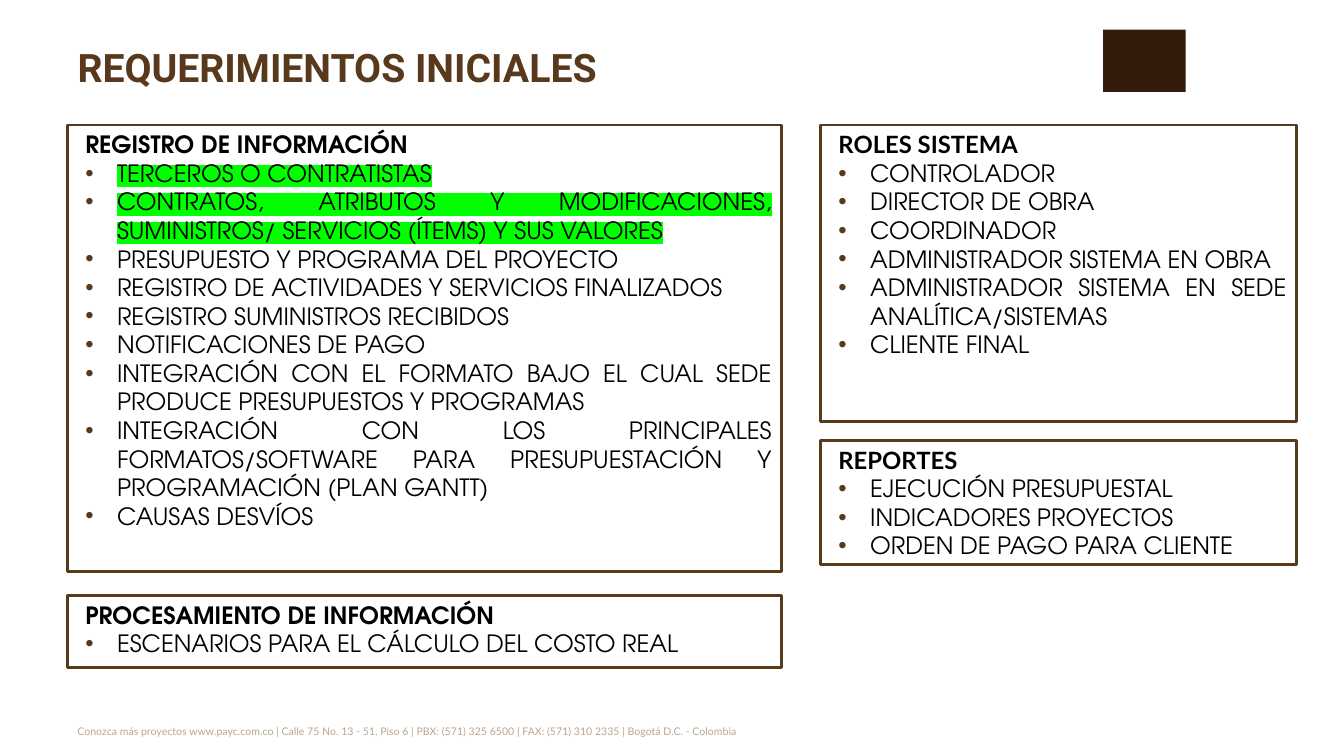
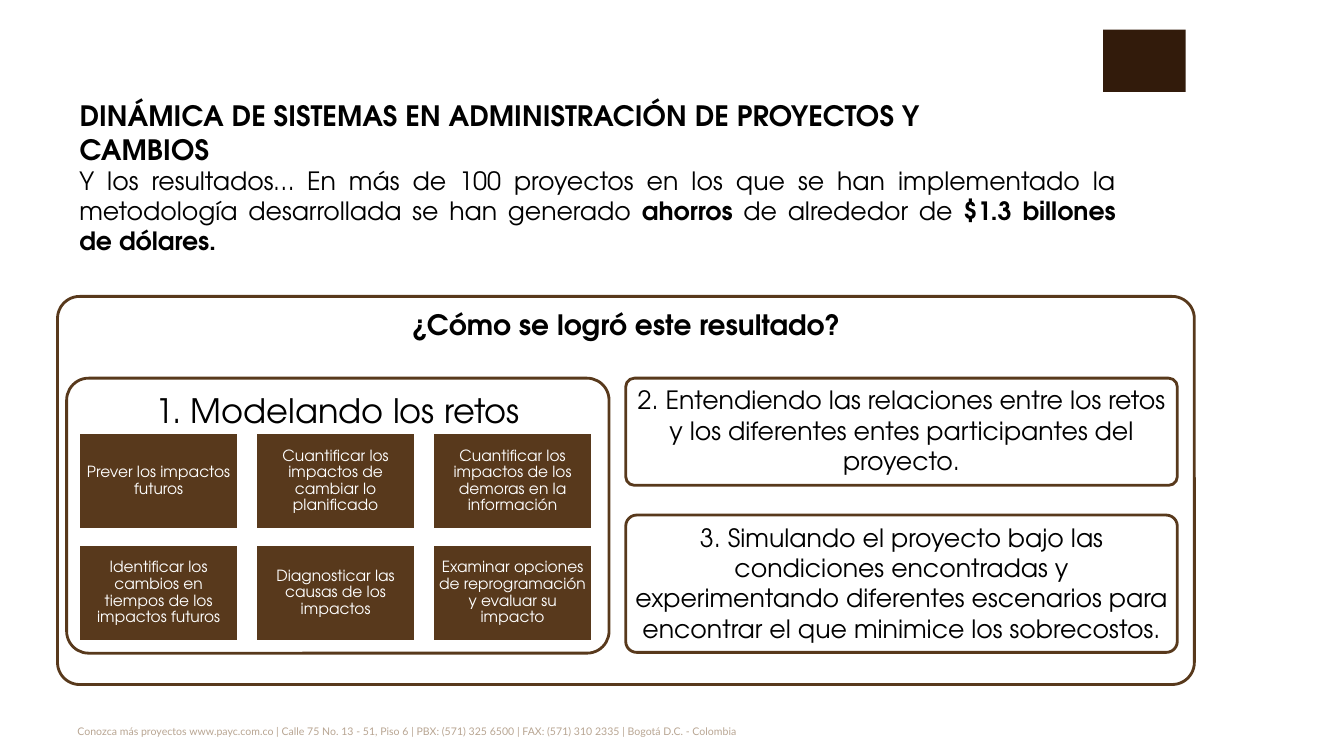
"""Build two slides on initial requirements and system dynamics in project management."""
from dataclasses import dataclass
from typing import Any

import pptx
import pptx.dml.color
import pptx.enum.shapes
import pptx.enum.text
import pptx.oxml.ns
import pptx.util
from lxml import etree

Cm = pptx.util.Cm
Align = pptx.enum.text.PP_ALIGN
Anchor = pptx.enum.text.MSO_ANCHOR
Outline = pptx.enum.shapes.MSO_SHAPE
qn = pptx.oxml.ns.qn

BROWN, DARK_BROWN, TAN = "58391C", "321B0B", "B8A592"
BLACK, WHITE, GREEN = "000000", "FFFFFF", "00FF00"
BODY_FONT, FOOTER_FONT, TITLE_FONT = "TeX Gyre Adventor", "Lato", "Roboto"
FOOTER = (
    "Conozca más proyectos www.payc.com.co | Calle 75 No. 13 - 51, Piso 6 | "
    "PBX: (571) 325 6500 | FAX: (571) 310 2335 | Bogotá D.C. - Colombia"
)


@dataclass(frozen=True)
class Area:
    """Position and size in centimetres."""

    left: float
    top: float
    width: float
    height: float

    def lengths(self) -> tuple[Any, ...]:
        """Return the four values as lengths."""
        return Cm(self.left), Cm(self.top), Cm(self.width), Cm(self.height)


@dataclass(frozen=True)
class Requirements:
    """A bordered list with a heading; the first items may be highlighted."""

    area: Area
    heading: str
    items: tuple[str, ...]
    heading_font: str = BODY_FONT
    highlighted: int = 0


@dataclass(frozen=True)
class Panel:
    """A rounded panel with centred text."""

    area: Area
    text: str
    size: float
    bold: bool = False
    inset: float | None = None
    corner: float = 0.08


REQUIREMENTS = (
    Requirements(
        Area(1.7, 3.15, 18, 11.25),
        "REGISTRO DE INFORMACIÓN",
        (
            "TERCEROS O CONTRATISTAS",
            "CONTRATOS, ATRIBUTOS Y MODIFICACIONES, SUMINISTROS/ SERVICIOS (ÍTEMS) Y SUS VALORES",
            "PRESUPUESTO Y PROGRAMA DEL PROYECTO",
            "REGISTRO DE ACTIVIDADES Y SERVICIOS FINALIZADOS",
            "REGISTRO SUMINISTROS RECIBIDOS",
            "NOTIFICACIONES DE PAGO",
            "INTEGRACIÓN CON EL FORMATO BAJO EL CUAL SEDE PRODUCE PRESUPUESTOS Y PROGRAMAS",
            "INTEGRACIÓN CON LOS PRINCIPALES FORMATOS/SOFTWARE PARA PRESUPUESTACIÓN Y "
            "PROGRAMACIÓN (PLAN GANTT)",
            "CAUSAS DESVÍOS",
        ),
        highlighted=2,
    ),
    Requirements(
        Area(1.7, 15, 18, 1.83),
        "PROCESAMIENTO DE INFORMACIÓN",
        ("ESCENARIOS PARA EL CÁLCULO DEL COSTO REAL",),
    ),
    Requirements(
        Area(20.68, 11.1, 12, 3.12),
        "REPORTES",
        ("EJECUCIÓN PRESUPUESTAL", "INDICADORES PROYECTOS", "ORDEN DE PAGO PARA CLIENTE"),
        heading_font=FOOTER_FONT,
    ),
    Requirements(
        Area(20.68, 3.15, 12, 7.47),
        "ROLES SISTEMA",
        (
            "CONTROLADOR",
            "DIRECTOR DE OBRA",
            "COORDINADOR",
            "ADMINISTRADOR SISTEMA EN OBRA",
            "ADMINISTRADOR SISTEMA EN SEDE ANALÍTICA/SISTEMAS",
            "CLIENTE FINAL",
        ),
        heading_font=FOOTER_FONT,
    ),
)

PANELS = (
    Panel(Area(1.45, 7.47, 28.65, 9.78), "¿Cómo se logró este resultado?", 20,
          bold=True, corner=0.057),
    Panel(Area(1.68, 9.53, 13.67, 6.93), "1. Modelando los retos", 24),
    Panel(
        Area(15.77, 9.53, 13.9, 2.7),
        "2. Entendiendo las relaciones entre los retos y los diferentes entes "
        "participantes del proyecto.",
        18,
        inset=0.1,
    ),
    Panel(
        Area(15.77, 12.98, 13.9, 3.46),
        "3. Simulando el proyecto bajo las condiciones encontradas y experimentando "
        "diferentes escenarios para encontrar el que minimice los sobrecostos.",
        18,
        inset=0.1,
    ),
)

CHALLENGES = (
    "Prever los impactos futuros",
    "Cuantificar los impactos de cambiar lo planificado",
    "Cuantificar los impactos de los demoras en la información",
    "Identificar los cambios en tiempos de los impactos futuros",
    "Diagnosticar las causas de los impactos",
    "Examinar opciones de reprogramación y evaluar su impacto",
)

RESULTS = (
    ("Y los resultados… En más de 100 proyectos en los que se han implementado la "
     "metodología desarrollada se han generado ", False),
    ("ahorros", True),
    (" de alrededor de ", False),
    ("$1.3 billones de dólares.", True),
)


def rgb(value: str) -> Any:
    """Turn a hex string into a colour."""
    return pptx.dml.color.RGBColor.from_string(value)


def write(paragraph: Any, text: str, *, size: float, font: str = BODY_FONT,
          color: str = BLACK, bold: bool = False, highlight: str | None = None,
          baseline: int = 0) -> None:
    """Add a formatted run to a paragraph."""
    run = paragraph.add_run()
    run.text = text
    run.font.size = pptx.util.Pt(size)
    run.font.name = font
    run.font.bold = bold
    run.font.color.rgb = rgb(color)
    properties = run._r.get_or_add_rPr()
    if baseline:
        properties.set("baseline", str(baseline * 1000))
    if highlight:
        marker = etree.Element(qn("a:highlight"))
        etree.SubElement(marker, qn("a:srgbClr"), val=highlight)
        properties.find(qn("a:solidFill")).addnext(marker)


def indent(paragraph: Any, left: float, first: float = 0, bullet: str = "") -> None:
    """Set the indents in centimetres and an optional brown bullet."""
    properties = paragraph._p.get_or_add_pPr()
    properties.set("marL", str(Cm(left)))
    properties.set("indent", str(Cm(first)))
    if bullet:
        bullet_color = etree.SubElement(properties, qn("a:buClr"))
        etree.SubElement(bullet_color, qn("a:srgbClr"), val=BROWN)
        etree.SubElement(properties, qn("a:buFont"), typeface="Arial")
        etree.SubElement(properties, qn("a:buChar"), char=bullet)


def prepare(frame: Any, *, anchor: Any = Anchor.TOP, align: Any = Align.LEFT,
            inset: float | None = None) -> Any:
    """Set up a text frame and return its first paragraph."""
    frame.word_wrap = True
    frame.auto_size = pptx.enum.text.MSO_AUTO_SIZE.NONE
    frame.vertical_anchor = anchor
    if inset is not None:
        frame.margin_left = frame.margin_right = Cm(inset)
        frame.margin_top = frame.margin_bottom = Cm(inset)
    frame.paragraphs[0].alignment = align
    return frame.paragraphs[0]


def draw_shape(slide: Any, area: Area, *, fill: str = WHITE, line: str | None = BROWN,
               outline: Any = Outline.RECTANGLE) -> Any:
    """Draw a filled shape without a shadow."""
    shape = slide.shapes.add_shape(outline, *area.lengths())
    shape.shadow.inherit = False
    shape.fill.solid()
    shape.fill.fore_color.rgb = rgb(fill)
    if line:
        shape.line.color.rgb = rgb(line)
        shape.line.width = pptx.util.Pt(2)
    else:
        shape.line.fill.background()
    return shape


def draw_title(slide: Any, text: str, area: Area, *, anchor: Any, **style: Any) -> None:
    """Place and format the title placeholder."""
    title = slide.shapes.title
    title.left, title.top, title.width, title.height = area.lengths()
    write(prepare(title.text_frame, anchor=anchor), text, bold=True, **style)


def draw_requirements(slide: Any, block: Requirements) -> None:
    """Draw a bordered list of requirements."""
    frame = draw_shape(slide, block.area).text_frame
    heading = prepare(frame, align=Align.JUSTIFY)
    indent(heading, 0.2)
    write(heading, block.heading, size=17, font=block.heading_font, bold=True)
    for position, item in enumerate(block.items):
        entry = frame.add_paragraph()
        entry.alignment = Align.JUSTIFY
        indent(entry, 1, -0.8, "•")
        write(entry, item, size=17, highlight=GREEN if position < block.highlighted else None)


def draw_panel(slide: Any, panel: Panel) -> None:
    """Draw a rounded panel."""
    shape = draw_shape(slide, panel.area, outline=Outline.ROUNDED_RECTANGLE)
    shape.adjustments[0] = panel.corner
    paragraph = prepare(shape.text_frame, align=Align.CENTER, inset=panel.inset)
    write(paragraph, panel.text, size=panel.size, bold=panel.bold)


def draw_challenges(slide: Any) -> None:
    """Draw the challenges as a grid of three columns."""
    for position, challenge in enumerate(CHALLENGES):
        row, column = divmod(position, 3)
        area = Area(1.98 + column * 4.46, 10.9 + row * 2.82, 4.04, 2.44)
        frame = draw_shape(slide, area, fill=BROWN, line=WHITE).text_frame
        paragraph = prepare(frame, anchor=Anchor.MIDDLE, align=Align.CENTER, inset=0.13)
        paragraph.line_spacing = 0.9
        write(paragraph, challenge, size=11, color=WHITE)


def share_branding(slide: Any) -> None:
    """Draw the footer and the corner block, and hand them to the slide layout."""
    footer = slide.shapes.add_textbox(*Area(1.7, 18.1, 26.1, 1).lengths())
    write(prepare(footer.text_frame), FOOTER, size=13, font=FOOTER_FONT, color=TAN, baseline=30)
    corner = draw_shape(slide, Area(27.8, 0.75, 2.08, 1.57), fill=DARK_BROWN, line=None)
    for part in (footer, corner):
        slide.slide_layout.shapes.element.append(part.element)


def build_requirements(slide: Any) -> None:
    """Build the slide on initial requirements."""
    draw_title(slide, "REQUERIMIENTOS INICIALES", Area(1.7, 0.61, 25.65, 1.8),
               anchor=Anchor.BOTTOM, size=28, font=TITLE_FONT, color=BROWN)
    for block in REQUIREMENTS:
        draw_requirements(slide, block)


def build_dynamics(slide: Any) -> None:
    """Build the slide on system dynamics."""
    draw_title(slide, "DINÁMICA DE SISTEMAS EN ADMINISTRACIÓN DE PROYECTOS Y CAMBIOS",
               Area(1.75, 2.36, 24.1, 1.96), anchor=Anchor.TOP, size=20)
    results = slide.shapes.add_textbox(*Area(1.75, 4.04, 26.62, 2.57).lengths())
    paragraph = prepare(results.text_frame, align=Align.JUSTIFY)
    for text, bold in RESULTS:
        write(paragraph, text, size=18, bold=bold)
    for panel in PANELS:
        draw_panel(slide, panel)
    draw_challenges(slide)


def main() -> None:
    """Build and save the presentation."""
    deck = pptx.Presentation()
    deck.slide_width, deck.slide_height = Cm(33.87), Cm(19.05)
    title_only = deck.slide_layouts[5]
    requirements = deck.slides.add_slide(title_only)
    share_branding(requirements)
    build_requirements(requirements)
    build_dynamics(deck.slides.add_slide(title_only))
    deck.save("out.pptx")


if __name__ == "__main__":
    main()
